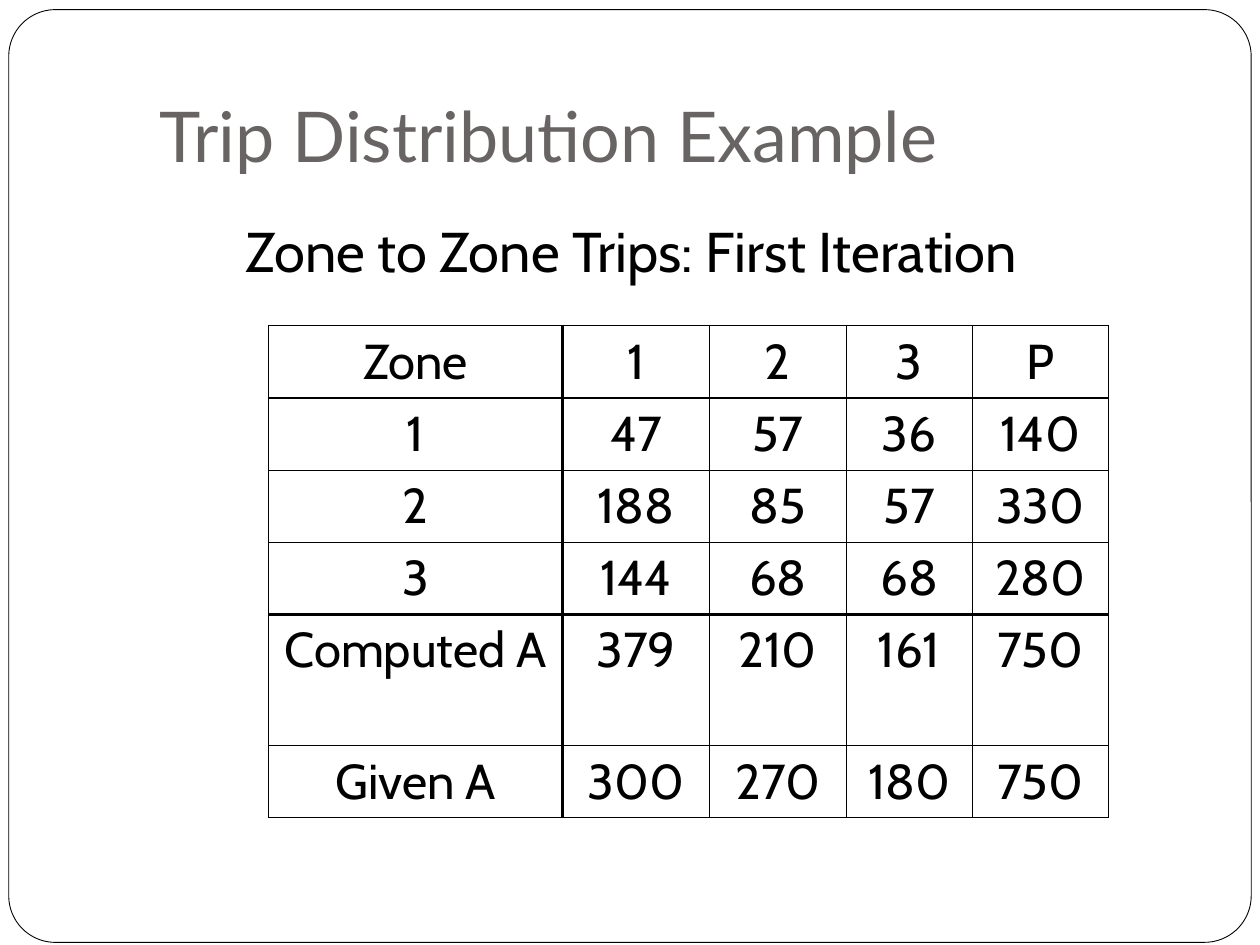
from pptx import Presentation
from pptx.dml.color import RGBColor
from pptx.enum.shapes import MSO_SHAPE
from pptx.enum.text import MSO_ANCHOR, PP_ALIGN
from pptx.oxml import parse_xml
from pptx.oxml.ns import nsdecls
from pptx.util import Pt

ROUNDED = MSO_SHAPE.ROUNDED_RECTANGLE
TOP, BOTTOM = MSO_ANCHOR.TOP, MSO_ANCHOR.BOTTOM
LEFT, CENTER = PP_ALIGN.LEFT, PP_ALIGN.CENTER
BLACK = RGBColor(0x00, 0x00, 0x00)
WHITE = RGBColor(0xFF, 0xFF, 0xFF)
GRAY = RGBColor(0x69, 0x64, 0x64)


def write(tf, text, size, font="Cabin", color=BLACK, align=LEFT, anchor=TOP, bottom=3.6):
    tf.word_wrap = True
    tf.vertical_anchor = anchor
    tf.margin_left = tf.margin_right = Pt(7.2)
    tf.margin_top, tf.margin_bottom = Pt(3.6), Pt(bottom)
    p = tf.paragraphs[0]
    p.alignment = align
    r = p.add_run()
    r.text = text
    r.font.size = Pt(size)
    r.font.name = font
    r.font.color.rgb = color


def set_borders(cell, **widths):
    tc_pr = cell._tc.get_or_add_tcPr()
    for i, (side, width) in enumerate(widths.items()):
        tc_pr.insert(i, parse_xml(
            f'<a:ln{side} {nsdecls("a")} w="{Pt(width)}"><a:solidFill>'
            f'<a:srgbClr val="{BLACK}"/></a:solidFill></a:ln{side}>'))


prs = Presentation()
prs.slide_width, prs.slide_height = Pt(720), Pt(540)
s = prs.slides.add_slide(prs.slide_layouts[5])

frame = s.shapes.add_shape(ROUNDED, Pt(5), Pt(5.5), Pt(710), Pt(533))
frame.adjustments[0] = 0.05
frame.shadow.inherit = False
frame.fill.solid()
frame.fill.fore_color.rgb = WHITE
frame.line.color.rgb = BLACK
frame.line.width = Pt(0.5)
s.shapes._spTree.insert(2, frame._element)

title = s.shapes.title
title.left, title.top, title.width, title.height = Pt(84), Pt(12), Pt(618), Pt(96)
write(title.text_frame, "Trip Distribution Example", 40, font="Lato", color=GRAY,
      anchor=BOTTOM, bottom=7.2)

rows = [
    ["Zone", "1", "2", "3", "P"],
    ["1", "47", "57", "36", "140"],
    ["2", "188", "85", "57", "330"],
    ["3", "144", "68", "68", "280"],
    ["Computed A", "379", "210", "161", "750"],
    ["Given A", "300", "270", "180", "750"],
]
col_widths = [168, 84, 78, 72, 78]
row_heights = [41.25, 41.25, 41.25, 41.25, 75, 41.25]
col_lines = [1.08, 1.47, 0.45, 0.45, 0.45, 1.08]
row_lines = [1.08, 1.47, 0.45, 0.45, 2.21, 0.45, 1.08]

trips = s.shapes.add_table(len(rows), len(col_widths), Pt(153.5), Pt(186),
                           Pt(sum(col_widths)), Pt(sum(row_heights))).table
trips.first_row = trips.horz_banding = False
for column, width in zip(trips.columns, col_widths):
    column.width = Pt(width)
for i, values in enumerate(rows):
    trips.rows[i].height = Pt(row_heights[i])
    for j, value in enumerate(values):
        cell = trips.cell(i, j)
        cell.fill.background()
        set_borders(cell, L=col_lines[j], R=col_lines[j + 1],
                    T=row_lines[i], B=row_lines[i + 1])
        write(cell.text_frame, value, 28, align=CENTER)
        cell.margin_left = cell.margin_right = Pt(7.2)
        cell.margin_top = cell.margin_bottom = Pt(3.6)

subtitle = s.shapes.add_textbox(Pt(133), Pt(120), Pt(517), Pt(46))
write(subtitle.text_frame, "Zone to Zone Trips: First Iteration", 32)

prs.save("out.pptx")
